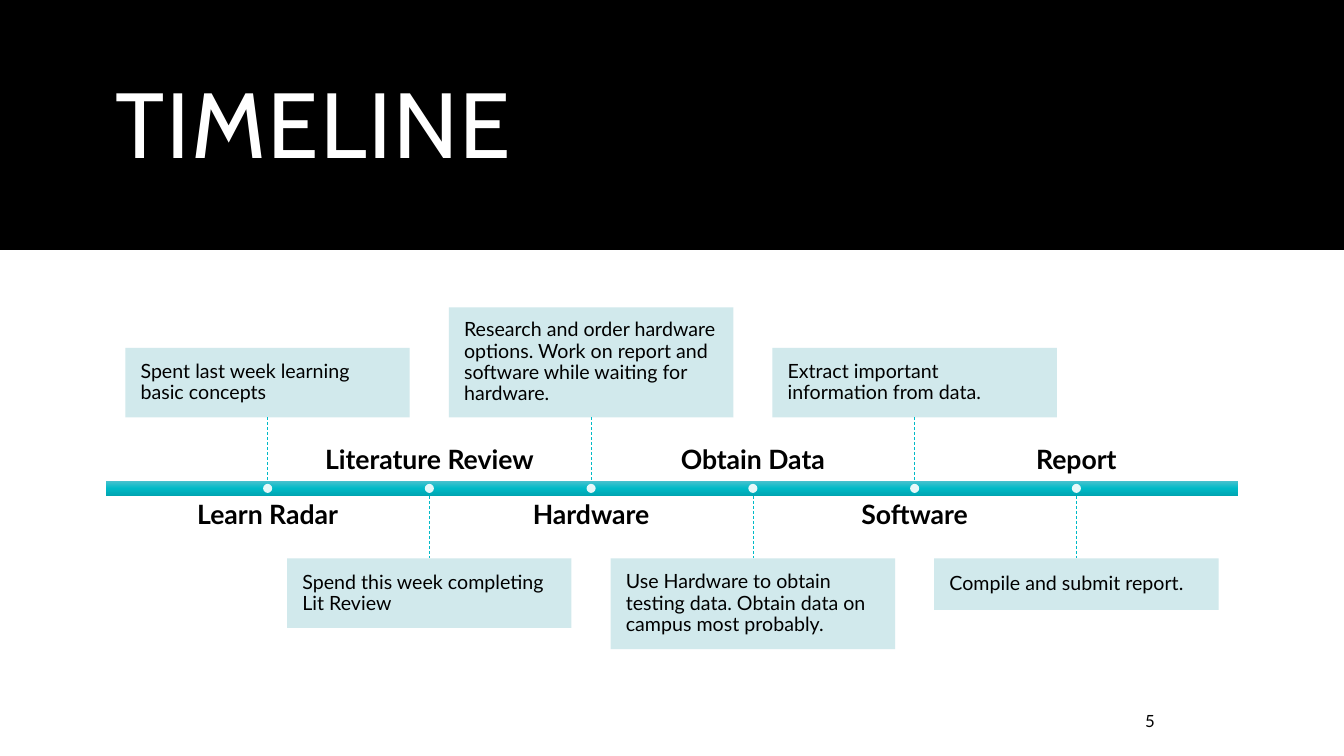
import copy
import pptx
import pptx.util
import pptx.dml.color
import pptx.enum.dml
import pptx.enum.shapes
import pptx.enum.text
import pptx.oxml
import pptx.oxml.ns

Inches = pptx.util.Inches
Pt = pptx.util.Pt
ANCHOR = pptx.enum.text.MSO_ANCHOR
ALIGN = pptx.enum.text.PP_ALIGN
SHAPE = pptx.enum.shapes.MSO_SHAPE
TEAL = "00BAC7"
PALE = "CCE7EB"
STEPS = [
    ("Learn Radar", "Spent last week learning basic concepts", 0.69),
    ("Literature Review", "Spend this week completing Lit Review", 0.69),
    ("Hardware", "Research and order hardware options. Work on report and "
     "software while waiting for hardware.", 1.09),
    ("Obtain Data", "Use Hardware to obtain testing data. Obtain data on "
     "campus most probably.", 0.9),
    ("Software", "Extract important information from data.", 0.69),
    ("Report", "Compile and submit report.", 0.51),
]


def color(code):
    """Turn a hex string into a colour."""
    return pptx.dml.color.RGBColor.from_string(code)


def fade(fill):
    """Make a solid fill 90 percent opaque."""
    tone = fill._xPr.find(".//" + pptx.oxml.ns.qn("a:srgbClr"))
    tone.append(pptx.oxml.parse_xml(
        '<a:alpha %s val="90000"/>' % pptx.oxml.ns.nsdecls("a")))


def block(slide, box, code, kind=SHAPE.RECTANGLE):
    """Add a plain filled shape without an outline."""
    shape = slide.shapes.add_shape(kind, *map(Inches, box))
    shape.shadow.inherit = False
    shape.fill.solid()
    shape.fill.fore_color.rgb = color(code)
    shape.line.fill.background()
    return shape


def style(frame, text, size, code="000000", font="Lato", bold=False,
          anchor=ANCHOR.MIDDLE, align=ALIGN.LEFT, inset=None, space=0.9):
    """Fill a text frame with one styled paragraph."""
    frame.word_wrap = True
    frame.vertical_anchor = anchor
    if inset is not None:
        frame.margin_left = frame.margin_right = Inches(inset)
        frame.margin_top = frame.margin_bottom = Inches(inset)
    frame.text = text
    para = frame.paragraphs[0]
    para.alignment = align
    para.line_spacing = space
    face = para.runs[0].font
    face.name = font
    face.size = Pt(size)
    face.bold = bold
    face.color.rgb = color(code)
    return para.runs[0]


def label(slide, box, text, size, **look):
    """Add a text box and return its run."""
    frame = slide.shapes.add_textbox(*map(Inches, box)).text_frame
    return style(frame, text, size, **look)


def header(slide, left, top, width, height):
    """Draw the black band with the title."""
    block(slide, (left, top, width, height), "000000")
    run = label(slide, (left + 1.05, top + 0.35, width - 2.1, 1.86),
                "TIMELINE", 66, code="FFFFFF", font="Cabin")
    run._r.get_or_add_rPr().set("spc", "120")


def axis(slide, left, top, width, height):
    """Draw the shaded bar of the timeline."""
    fill = block(slide, (left, top, width, height), TEAL).fill
    fill.gradient()
    fill.gradient_angle = 270
    first = fill._xPr.find(".//" + pptx.oxml.ns.qn("a:gs"))
    first.addnext(copy.deepcopy(first))
    tones = zip(fill.gradient_stops, (0, 0.5, 1), ("4BC2CF", TEAL, "00A5B1"))
    for stop, place, code in tones:
        stop.position = place
        stop.color.rgb = color(code)


def card(slide, left, top, width, height, text):
    """Draw a pale card with its note."""
    shape = block(slide, (left, top, width, height), PALE)
    fade(shape.fill)
    style(shape.text_frame, text, 14, inset=0.15)


def stem(slide, mid, start, end):
    """Draw a dashed line from the bar to a card."""
    line = slide.shapes.add_connector(
        pptx.enum.shapes.MSO_CONNECTOR.STRAIGHT,
        Inches(mid), Inches(start), Inches(mid), Inches(end))
    line.line.color.rgb = color(TEAL)
    line.line.width = Pt(0.5)
    line.line.dash_style = pptx.enum.dml.MSO_LINE.DASH
    line._element.spPr.append(pptx.oxml.parse_xml(
        "<a:effectLst %s/>" % pptx.oxml.ns.nsdecls("a")))


def timeline(slide, left, top, width, height):
    """Draw the bar and its steps, cards above and below in turn."""
    axis(slide, left, top, width, height)
    base = top + height
    pitch = width / (len(STEPS) + 1)
    for index, (name, note, tall) in enumerate(STEPS):
        mid = left + pitch * (index + 1)
        above = index % 2 == 0
        edge = top - 0.63 if above else base + 0.62
        card(slide, mid - 1.41, edge - tall if above else edge,
             2.82, tall, note)
        stem(slide, mid, edge if above else base, top if above else edge)
        label(slide, (mid - 1.285, base + 0.06 if above else top - 0.48,
                      2.57, 0.42), name, 19, bold=True, inset=0,
              align=ALIGN.CENTER,
              anchor=ANCHOR.TOP if above else ANCHOR.BOTTOM)
        dot = block(slide, (mid - 0.045, top + 0.03, 0.09, 0.09),
                    "FFFFFF", SHAPE.OVAL)
        fade(dot.fill)


def main():
    """Build and save the slide."""
    deck = pptx.Presentation()
    deck.slide_width = Inches(13.33)
    deck.slide_height = Inches(7.5)
    slide = deck.slides.add_slide(deck.slide_layouts[6])
    header(slide, 0, 0, 13.33, 2.48)
    timeline(slide, 1.05, 4.77, 11.23, 0.15)
    label(slide, (11.26, 6.95, 1.02, 0.4), "5", 12, space=1)
    deck.save("out.pptx")


if __name__ == "__main__":
    main()
